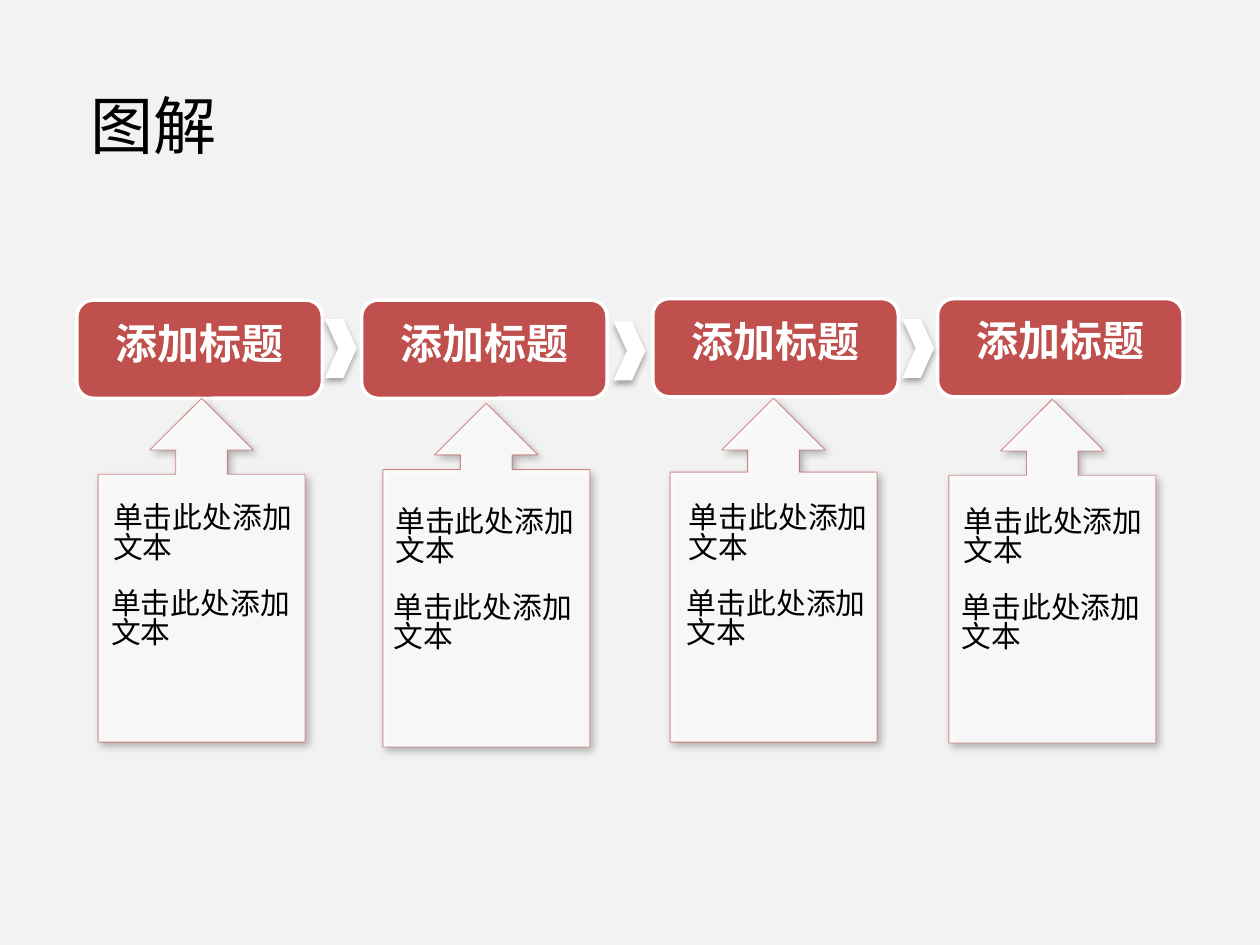
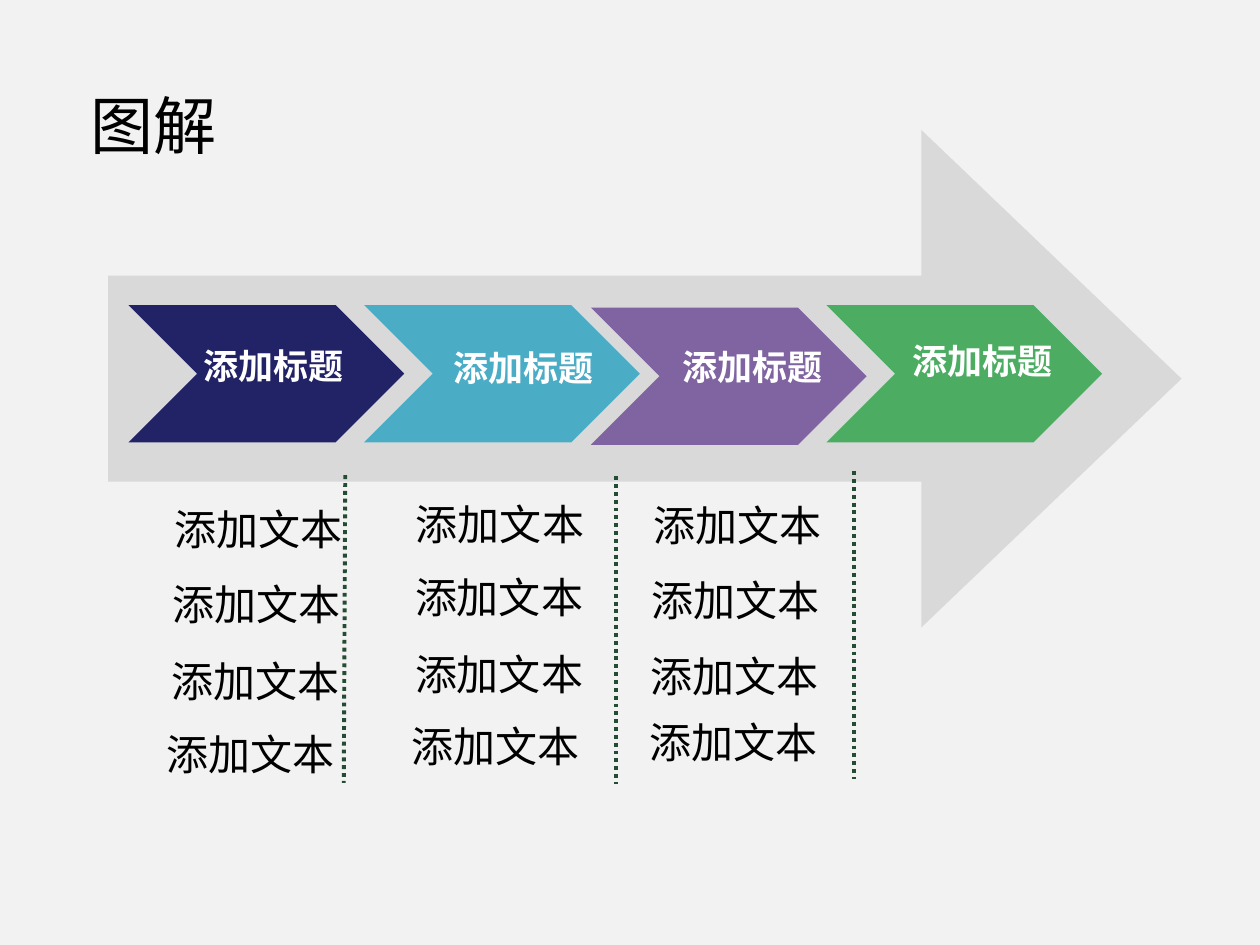
from lxml import etree
from pptx import Presentation, util as u
from pptx.dml.color import RGBColor
from pptx.enum import dml, shapes, text
from pptx.oxml import ns
from pptx.util import Cm

# Shared style
FONT = "Noto Sans CJK SC"
BACKGROUND = RGBColor(0xF2, 0xF2, 0xF2)
BLACK = RGBColor(0, 0, 0)
WHITE = RGBColor(0xFF, 0xFF, 0xFF)
RED = RGBColor(0xC0, 0x50, 0x4D)
GREY = RGBColor(0xD9, 0xD9, 0xD9)
NAVY = RGBColor(0x22, 0x22, 0x67)
TEAL = RGBColor(0x4B, 0xAC, 0xC6)
PURPLE = RGBColor(0x80, 0x64, 0xA2)
GREEN = RGBColor(0x4B, 0xAC, 0x62)
DARK_GREEN = RGBColor(0x24, 0x4C, 0x32)

HEADING = "添加标题"
NOTE = "单击此处添加文本"
ITEM = "添加文本"

# Step columns: card left and top, label top, callout left, top and body share, note left and top
STEPS = [
    (1.55, 6.05, 6.35, 1.98, 8.03, 0.779, 2.03, 9.96),
    (7.29, 6.05, 6.35, 7.72, 8.13, 0.807, 7.72, 10.03),
    (13.16, 6.02, 6.32, 13.51, 8.03, 0.785, 13.64, 9.96),
    (18.9, 6.02, 6.3, 19.13, 8.05, 0.779, 19.18, 10.03),
]
STEP_MARK_TOPS = [6.43, 6.48, 6.43]

# Stages: colour, chevron left and top, label left and top
STAGES = [
    (NAVY, 2.59, 6.15, 3.86, 6.86),
    (TEAL, 7.34, 6.15, 8.89, 6.91),
    (PURPLE, 11.91, 6.2, 13.51, 6.88),
    (GREEN, 16.66, 6.15, 18.14, 6.76),
]
# Dividers: start x, start y, end x
DIVIDERS = [(6.96, 9.58, 6.93), (12.42, 9.6, 12.42), (17.22, 9.5, 17.22)]
# Left and top of each item, column by column
ITEM_COLUMNS = [
    [(3.23, 10.11), (3.2, 11.61), (3.18, 13.16), (3.07, 14.63)],
    [(8.1, 10.01), (8.08, 11.48), (8.08, 13.03), (8.0, 14.48)],
    [(12.88, 10.03), (12.85, 11.53), (12.83, 13.06), (12.8, 14.4)],
]


def set_alpha(parent, percent):
    """Make the colour inside a fill or line element partly transparent."""
    color = parent.find(".//" + ns.qn("a:srgbClr"))
    etree.SubElement(color, ns.qn("a:alpha"), val=str(percent * 1000))


def add_shadow(shape, alpha, blur, distance, degrees):
    effects = shape._element.spPr.find(ns.qn("a:effectLst"))
    outer = etree.SubElement(
        effects, ns.qn("a:outerShdw"), blurRad=str(u.Pt(blur)), dist=str(u.Pt(distance)),
        dir=str(degrees * 60000), algn="ctr", rotWithShape="0")
    etree.SubElement(outer, ns.qn("a:srgbClr"), val=str(BLACK))
    set_alpha(outer, alpha)


def add_figure(page, kind, left, top, width, height, fill, line=None, weight=1, adjust=()):
    shape = page.shapes.add_shape(kind, Cm(left), Cm(top), Cm(width), Cm(height))
    shape.shadow.inherit = False
    shape.fill.solid()
    shape.fill.fore_color.rgb = fill
    if line is None:
        shape.line.fill.background()
    else:
        shape.line.color.rgb = line
        shape.line.width = u.Pt(weight)
    for index, value in enumerate(adjust):
        shape.adjustments[index] = value
    return shape


def add_text(page, content, left, top, width, height, size=24, color=BLACK, bold=False,
             align=text.PP_ALIGN.LEFT):
    box = page.shapes.add_textbox(Cm(left), Cm(top), Cm(width), Cm(height))
    frame = box.text_frame
    frame.word_wrap = True
    frame.auto_size = text.MSO_AUTO_SIZE.SHAPE_TO_FIT_TEXT
    # The tight line spacing lifts the first line, so the top margin is larger
    frame.margin_top, frame.margin_bottom = Cm(0.23), Cm(0.03)
    para = frame.paragraphs[0]
    para.alignment = align
    para.line_spacing = 0.82
    span = para.add_run()
    span.text = content
    span.font.size = u.Pt(size)
    span.font.bold = bold
    span.font.color.rgb = color
    span.font.name = FONT
    etree.SubElement(span.font._element, ns.qn("a:ea"), typeface=FONT)


def add_divider(page, x, top, end_x, length=6.2):
    line = page.shapes.add_connector(
        shapes.MSO_CONNECTOR.STRAIGHT, Cm(x), Cm(top), Cm(end_x), Cm(top + length))
    line.line.color.rgb = DARK_GREEN
    line.line.width = u.Pt(2.25)
    line.line.dash_style = dml.MSO_LINE.ROUND_DOT
    etree.SubElement(line._element.spPr, ns.qn("a:effectLst"))


def add_page(deck):
    page = deck.slides.add_slide(deck.slide_layouts[6])
    page.background.fill.solid()
    page.background.fill.fore_color.rgb = BACKGROUND
    return page


def add_title(page):
    add_text(page, "图解", 1.57, 1.78, 13.11, 1.8, size=36)


def add_callout(page, left, top, body):
    callout = add_figure(page, shapes.MSO_SHAPE.UP_ARROW_CALLOUT, left, top, 4.17, 6.93, WHITE,
                         line=RED, weight=0.5, adjust=(0.25, 0.25, 0.25, body))
    properties = callout._element.spPr
    set_alpha(properties.find(ns.qn("a:solidFill")), 90)
    set_alpha(properties.find(ns.qn("a:ln")), 63)
    add_shadow(callout, 30, 4.5, 2.6, 53)


def build_steps(deck):
    page = add_page(deck)
    add_title(page)
    for card_x, card_y, label_y, callout_x, callout_y, body, note_x, note_y in STEPS:
        add_figure(page, shapes.MSO_SHAPE.ROUNDED_RECTANGLE, card_x, card_y, 4.95, 1.98, RED,
                   line=WHITE, weight=2)
        add_callout(page, callout_x, callout_y, body)
        add_text(page, HEADING, card_x + 0.08, label_y, 4.78, 1.27, color=WHITE, bold=True,
                 align=text.PP_ALIGN.CENTER)
        for row in range(2):
            add_text(page, NOTE, note_x - 0.04 * row, note_y + 1.73 * row, 4.32, 1.7, size=17)
    # Marks between the cards
    for index, top in enumerate(STEP_MARK_TOPS):
        mark = add_figure(page, shapes.MSO_SHAPE.CHEVRON, 6.55 + 5.82 * index, top, 0.64, 1.19,
                          WHITE, adjust=(0.421,))
        add_shadow(mark, 32, 3.5, 2.2, 90)


def build_stages(deck):
    page = add_page(deck)
    add_figure(page, shapes.MSO_SHAPE.RIGHT_ARROW, 2.18, 2.62, 21.64, 10.03, GREY,
               adjust=(0.414, 0.523))
    add_title(page)
    for color, left, top, label_x, label_y in STAGES:
        add_figure(page, shapes.MSO_SHAPE.CHEVRON, left, top, 5.56, 2.77, color)
        add_text(page, HEADING, label_x, label_y, 3.38, 1.12, size=20, color=WHITE, bold=True)
    # Item lists and the dotted lines beside them
    for divider, column in zip(DIVIDERS, ITEM_COLUMNS):
        add_divider(page, *divider)
        for left, top in column:
            add_text(page, ITEM, left, top, 3.96, 1.27, align=text.PP_ALIGN.CENTER)


def main():
    deck = Presentation()
    deck.slide_width, deck.slide_height = Cm(25.4), Cm(19.05)
    build_steps(deck)
    build_stages(deck)
    deck.save("out.pptx")


if __name__ == "__main__":
    main()
